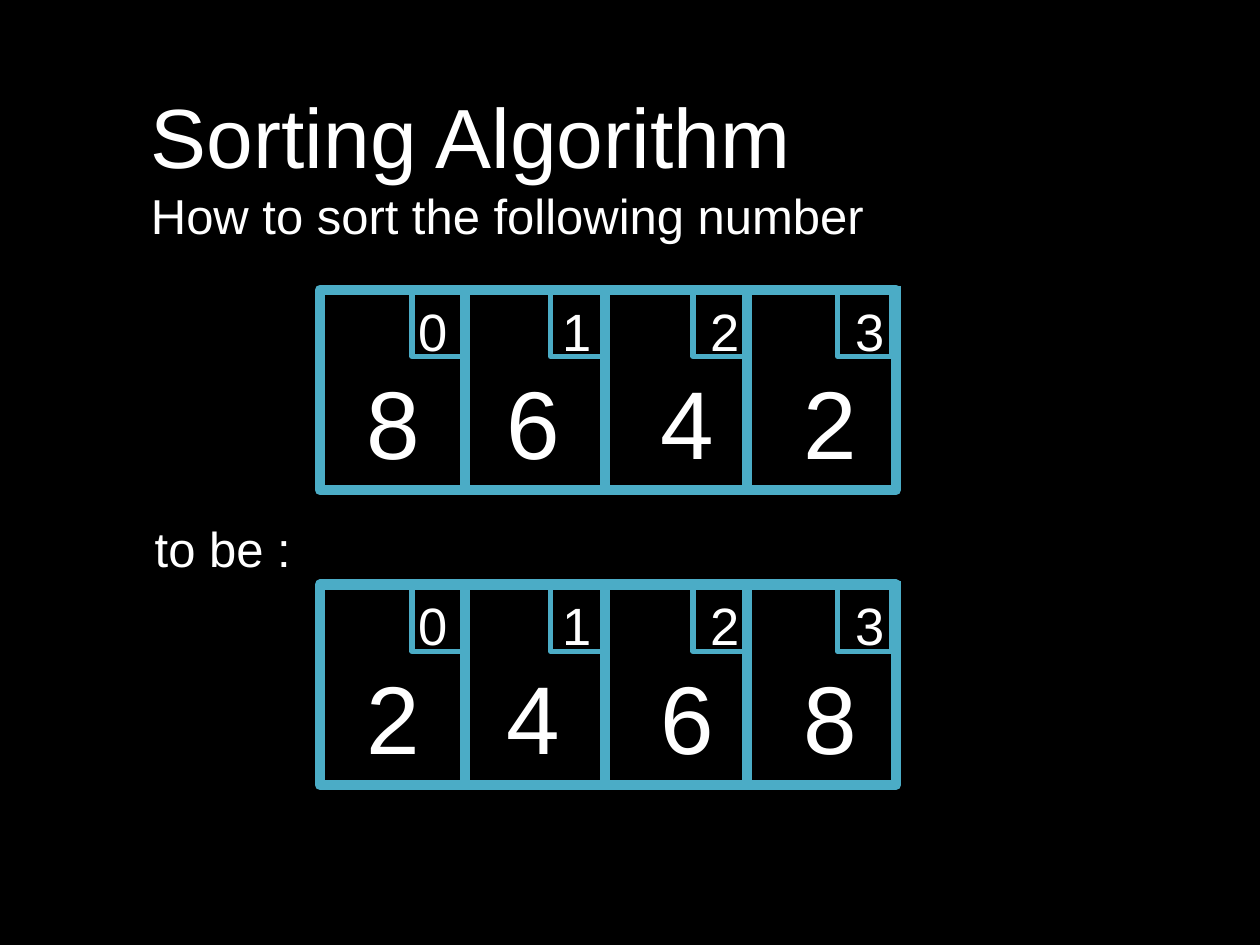
from dataclasses import dataclass

from lxml import etree
from pptx import Presentation
from pptx.dml.color import RGBColor
from pptx.enum.shapes import MSO_CONNECTOR, MSO_SHAPE
from pptx.enum.text import MSO_ANCHOR
from pptx.oxml.ns import qn
from pptx.util import Inches, Pt

RECTANGLE = MSO_SHAPE.RECTANGLE
STRAIGHT = MSO_CONNECTOR.STRAIGHT
TOP = MSO_ANCHOR.TOP
MIDDLE = MSO_ANCHOR.MIDDLE
BLANK_LAYOUT = 6
FONT = "Arial"
BLACK = "000000"
WHITE = "FFFFFF"
TEAL = "4BACC6"


@dataclass
class Box:
    """Hold a region's position and size in inches."""

    left: float
    top: float
    width: float
    height: float

    def inner(self, left, top, width, height):
        """Return a box offset from this one's top-left corner."""
        return Box(self.left + left, self.top + top, width, height)

    def lengths(self):
        """Return the four measures as lengths."""
        return [Inches(value) for value in (self.left, self.top, self.width, self.height)]


@dataclass
class Cell:
    """Hold horizontal offsets of one cell's parts from the array's left edge."""

    value: float
    index: float
    tag: float
    divider: float
    index_width: float = 0.36


CELLS = [
    Cell(0.27, 0.68, 0.73, 1.15),
    Cell(1.38, 1.83, 1.83, 2.26),
    Cell(2.6, 3.0, 2.96, 3.39),
    Cell(3.74, 4.15, 4.11, 4.57, index_width=0.67),
]


def color(hex_string):
    """Convert a hex string to a colour."""
    return RGBColor.from_string(hex_string)


def add_text(shapes, box, lines, anchor=TOP, vertical_margin=0.05):
    """Place (text, point size) lines in a white text box."""
    frame = shapes.add_textbox(*box.lengths()).text_frame
    frame.word_wrap = True
    frame.vertical_anchor = anchor
    frame.margin_left = frame.margin_right = Inches(0.1)
    frame.margin_top = frame.margin_bottom = Inches(vertical_margin)
    for number, (text, size) in enumerate(lines):
        paragraph = frame.add_paragraph() if number else frame.paragraphs[0]
        paragraph.text = text
        paragraph.font.name = FONT
        paragraph.font.size = Pt(size)
        paragraph.font.color.rgb = color(WHITE)


def style_line(shape, width):
    """Give a shape a teal line of the given point width."""
    shape.line.color.rgb = color(TEAL)
    shape.line.width = Pt(width)


def add_frame(shapes, box, line_width):
    """Place an unfilled teal rectangle."""
    shape = shapes.add_shape(RECTANGLE, *box.lengths())
    shape.shadow.inherit = False
    shape.fill.background()
    style_line(shape, line_width)


def add_divider(shapes, box):
    """Place a vertical line along the left side of the box."""
    left, top, bottom = Inches(box.left), Inches(box.top), Inches(box.top + box.height)
    connector = shapes.add_connector(STRAIGHT, left, top, left, bottom)
    style_line(connector, 6)
    etree.SubElement(connector._element.spPr, qn("a:effectLst"))


def add_array(slide, box, values):
    """Draw a grouped array with its values and index tags."""
    shapes = slide.shapes.add_group_shape().shapes
    add_frame(shapes, box, 6)
    for index, (cell, value) in enumerate(zip(CELLS, values)):
        add_text(shapes, box.inner(cell.value, 0.24, 0.98, 1.61), [(str(value), 55)], MIDDLE, 0.1)
        add_divider(shapes, box.inner(cell.divider, -0.03, 0, 1.61))
        add_frame(shapes, box.inner(cell.tag, 0, 0.43, 0.53), 3)
        index_box = box.inner(cell.index, -0.03, cell.index_width, 0.58)
        add_text(shapes, index_box, [(str(index), 30)], vertical_margin=0.1)


def main():
    """Build and save the sorting slide."""
    presentation = Presentation()
    presentation.slide_width = Inches(10)
    presentation.slide_height = Inches(7.5)
    slide = presentation.slides.add_slide(presentation.slide_layouts[BLANK_LAYOUT])
    slide.background.fill.solid()
    slide.background.fill.fore_color.rgb = color(BLACK)

    heading = [("Sorting Algorithm", 48), ("How to sort the following number", 28)]
    add_text(slide.shapes, Box(1.1, 0.62, 7.3, 1.28), heading)
    numbers = [8, 6, 4, 2]
    add_array(slide, Box(2.54, 2.3, 4.57, 1.59), numbers)
    add_text(slide.shapes, Box(1.13, 4.07, 5.87, 0.53), [("to be :", 28)])
    add_array(slide, Box(2.54, 4.64, 4.57, 1.59), sorted(numbers))

    presentation.save("out.pptx")


if __name__ == "__main__":
    main()
